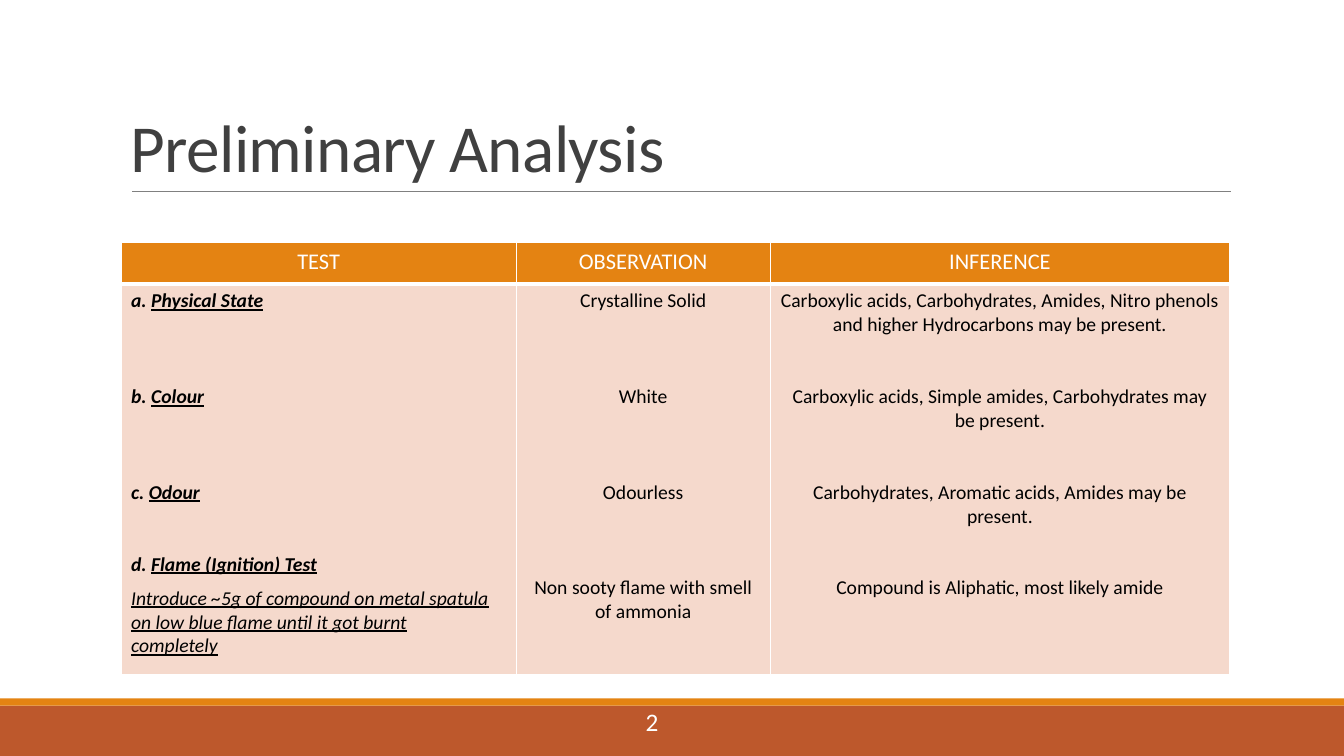
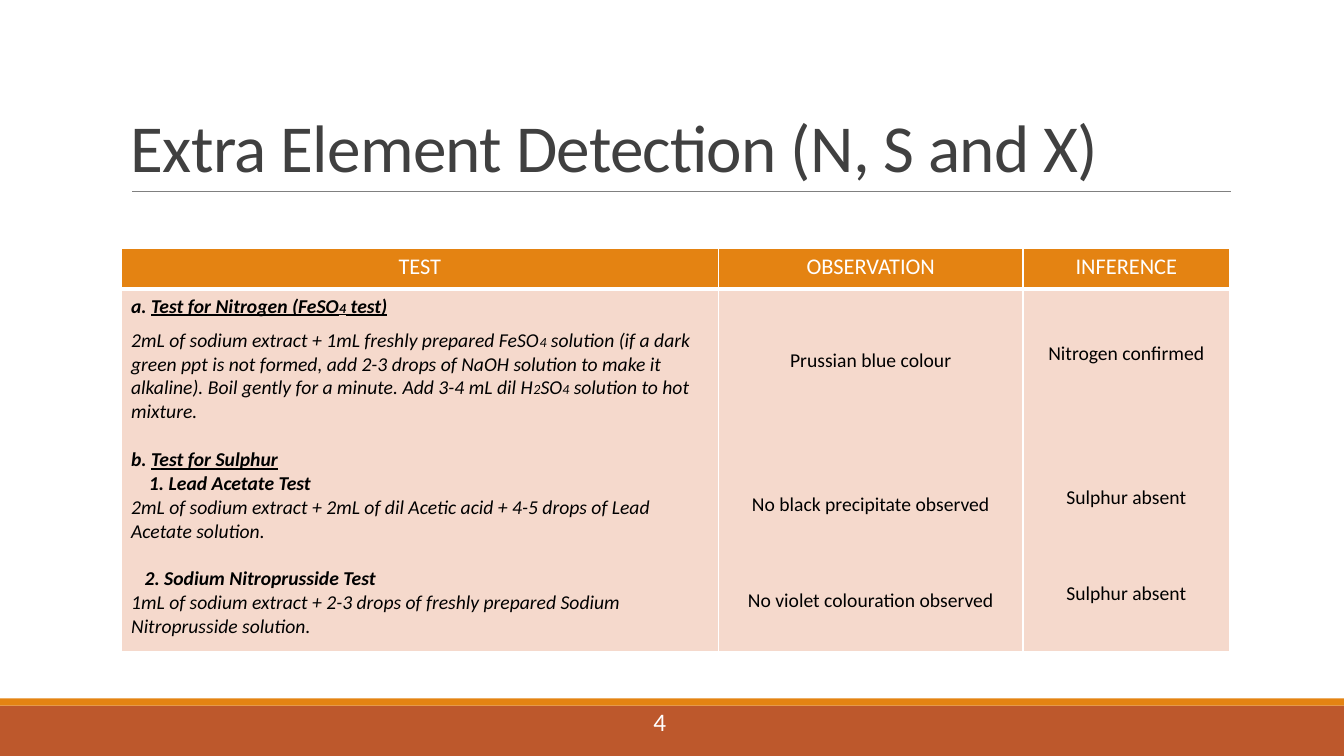
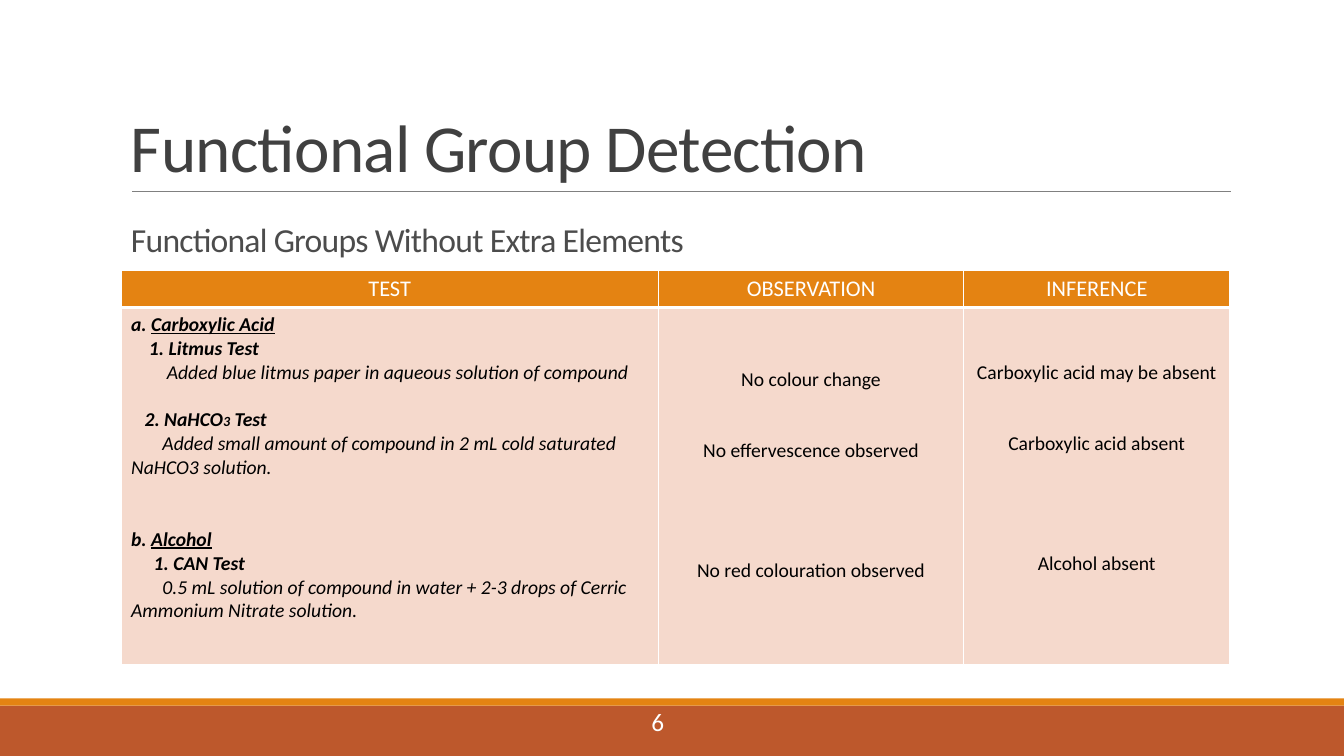
from dataclasses import dataclass

from lxml import etree
from pptx import Presentation
from pptx.dml.color import RGBColor
from pptx.enum.shapes import MSO_CONNECTOR, MSO_SHAPE
from pptx.enum.text import MSO_ANCHOR, PP_ALIGN
from pptx.oxml.ns import qn
from pptx.util import Cm, Pt

RECT = MSO_SHAPE.RECTANGLE
STRAIGHT = MSO_CONNECTOR.STRAIGHT
TOP, BOTTOM = MSO_ANCHOR.TOP, MSO_ANCHOR.BOTTOM
LEFT, CENTER = PP_ALIGN.LEFT, PP_ALIGN.CENTER

WHITE = RGBColor(0xFF, 0xFF, 0xFF)
BLACK = RGBColor(0x00, 0x00, 0x00)
ORANGE = RGBColor(0xE4, 0x83, 0x12)
RUST = RGBColor(0xBD, 0x58, 0x2C)
PEACH = RGBColor(0xF5, 0xD9, 0xCC)
GREY = RGBColor(0x80, 0x80, 0x80)
TITLE_GREY = RGBColor(0x40, 0x40, 0x40)
SUBTITLE_GREY = RGBColor(0x4C, 0x4C, 0x4C)

FONT = "Calibri"
BODY, SUB = 14, 10      # body and subscript sizes in points
LINE = 17.1             # height of one body line in points
SMALL_GAP = 0.43        # short gap, in body lines
HEADERS = ("TEST", "OBSERVATION", "INFERENCE")


@dataclass
class Para:
    """Runs are (text, style) pairs; style letters are b, i and u.
    An underscore makes the next character a small one."""
    runs: list
    gap: float = 0      # body lines left free above
    indent: float = 0   # first-line indent in cm
    tab: float = 0      # tab stop in cm


def heading(label, name, gap=0):
    return Para([(label + " ", "bi"), (name, "biu")], gap)


def subheading(text, gap=0, indent=0.45):
    return Para([(text, "bi")], gap, indent)


def step(text, gap=0, indent=0):
    return Para([(text, "i")], gap, indent)


def results(*pairs):
    return [Para([(text, "")], gap) for gap, text in pairs]


class Deck:
    def __init__(self):
        self.prs = Presentation()
        self.prs.slide_width, self.prs.slide_height = Cm(33.87), Cm(19.05)
        self.slide = None

    def new_slide(self, title, number, number_left):
        self.slide = self.prs.slides.add_slide(self.prs.slide_layouts[6])
        # Footer bands and title rule
        self.band(17.78, 1.27, RUST)
        self.band(17.6, 0.18, ORANGE)
        self.rule(3.33, 31.01, 4.83)
        # Title and page number
        self.text(title, (3.05, 0.79, 27.94, 4.04), 48, TITLE_GREY,
                  anchor=BOTTOM, spacing=0.85, tracking=-50)
        self.text(str(number), (number_left, 17.68, 0.86, 1.02), 18, WHITE,
                  align=CENTER)

    def band(self, top, height, color):
        s = self.slide.shapes.add_shape(RECT, 0, Cm(top), self.prs.slide_width,
                                        Cm(height))
        s.shadow.inherit = False
        s.fill.solid()
        s.fill.fore_color.rgb = color
        s.line.fill.background()

    def rule(self, left, right, y):
        s = self.slide.shapes.add_connector(STRAIGHT, Cm(left), Cm(y),
                                            Cm(right), Cm(y))
        s.line.color.rgb = GREY
        s.line.width = Pt(0.5)
        etree.SubElement(s._element.spPr, qn("a:effectLst"))

    def run(self, p, text, size, color, style=""):
        r = p.add_run()
        r.text = text
        f = r.font
        f.name, f.size, f.color.rgb = FONT, Pt(size), color
        f.bold, f.italic, f.underline = (c in style for c in "biu")
        return r

    def text(self, text, box, size, color, align=LEFT, anchor=TOP,
             spacing=1.0, tracking=0):
        s = self.slide.shapes.add_textbox(*(Cm(v) for v in box))
        tf = s.text_frame
        tf.word_wrap = True
        tf.vertical_anchor = anchor
        p = tf.paragraphs[0]
        p.alignment, p.line_spacing = align, spacing
        r = self.run(p, text, size, color)
        if tracking:
            r.font._element.set("spc", str(tracking))

    def table(self, top, widths, heights, columns):
        table = self.slide.shapes.add_table(
            2, len(widths), Cm(3.05), Cm(top), Cm(sum(widths)),
            Cm(sum(heights))).table
        table.first_row = table.horz_banding = False
        for row, height in zip(table.rows, heights):
            row.height = Cm(height)
        for i, (width, header, paras) in enumerate(zip(widths, HEADERS, columns)):
            table.columns[i].width = Cm(width)
            # Header cell
            cell = table.cell(0, i)
            self.style_cell(cell, ORANGE, lnB=3)
            p = cell.text_frame.paragraphs[0]
            p.alignment = CENTER
            self.run(p, header, 16, WHITE)
            # Body cell
            cell = table.cell(1, i)
            self.style_cell(cell, PEACH, lnT=3)
            self.fill_cell(cell, paras, CENTER if i else LEFT)

    def style_cell(self, cell, color, **edges):
        tc_pr = cell._tc.get_or_add_tcPr()
        for edge in ("lnL", "lnR", "lnT", "lnB"):
            ln = etree.SubElement(tc_pr, qn("a:" + edge),
                                  w=str(Pt(edges.get(edge, 1))))
            fill = etree.SubElement(ln, qn("a:solidFill"))
            etree.SubElement(fill, qn("a:srgbClr"), val=str(WHITE))
        cell.fill.solid()
        cell.fill.fore_color.rgb = color

    def fill_cell(self, cell, paras, align):
        tf = cell.text_frame
        cell.margin_top = Cm(0.13) + Pt(paras[0].gap * LINE)
        for n, para in enumerate(paras):
            p = tf.add_paragraph() if n else tf.paragraphs[0]
            p.alignment = align
            if n and para.gap:
                p.space_before = Pt(para.gap * LINE)
            p_pr = p._p.get_or_add_pPr()
            if para.indent:
                p_pr.set("marL", "0")
                p_pr.set("indent", str(Cm(para.indent)))
            if para.tab:
                tabs = etree.SubElement(p_pr, qn("a:tabLst"))
                etree.SubElement(tabs, qn("a:tab"), pos=str(Cm(para.tab)),
                                 algn="l")
            for text, style in para.runs:
                first, *rest = text.split("_")
                self.run(p, first, BODY, BLACK, style)
                for part in rest:
                    self.run(p, part[0], SUB, BLACK, style)
                    if part[1:]:
                        self.run(p, part[1:], BODY, BLACK, style)


def preliminary(deck):
    deck.new_slide("Preliminary Analysis", 2, 16)
    tests = [
        heading("a.", "Physical State"),
        heading("b.", "Colour", 3),
        heading("c.", "Odour", 3),
        heading("d.", "Flame (Ignition) Test", 2),
        Para([("Introduce ~5g of compound on metal spatula on low blue flame "
               "until it got burnt\tcompletely", "iu")], SMALL_GAP, tab=8.2),
    ]
    observations = results(
        (0, "Crystalline Solid"), (3, "White"), (3, "Odourless"),
        (3, "Non sooty flame with smell of ammonia"))
    inferences = results(
        (0, "Carboxylic acids, Carbohydrates, Amides, Nitro phenols and "
            "higher Hydrocarbons may be present."),
        (2, "Carboxylic acids, Simple amides, Carbohydrates may be present."),
        (2, "Carbohydrates, Aromatic acids, Amides may be present."),
        (2, "Compound is Aliphatic, most likely amide"))
    deck.table(6.12, (9.96, 6.4, 11.58), (1.04, 9.83),
               (tests, observations, inferences))


def extra_elements(deck):
    deck.new_slide("Extra Element Detection (N, S and X)", 4, 16.2)
    tests = [
        heading("a.", "Test for Nitrogen (FeSO_4 test)"),
        step("2mL of sodium extract + 1mL freshly prepared FeSO_4 solution "
             "(if a dark green ppt is not formed, add 2-3 drops of NaOH "
             "solution to make it alkaline). Boil gently for a minute. Add "
             "3-4 mL dil H_2SO_4 solution to hot mixture.", SMALL_GAP),
        heading("b.", "Test for Sulphur", 1),
        subheading("1. Lead Acetate Test"),
        step("2mL of sodium extract + 2mL of dil Acetic acid + 4-5 drops of "
             "Lead Acetate solution."),
        subheading("2. Sodium Nitroprusside Test", 1, 0.34),
        step("1mL of sodium extract + 2-3 drops of freshly prepared Sodium "
             "Nitroprusside solution."),
    ]
    observations = results(
        (2.29, "Prussian blue colour"), (5, "No black precipitate observed"),
        (3, "No violet colouration observed"))
    inferences = results(
        (2, "Nitrogen confirmed"), (5, "Sulphur absent"), (3, "Sulphur absent"))
    deck.table(6.25, (15.06, 7.67, 5.21), (1.04, 9.14),
               (tests, observations, inferences))


def functional_groups(deck):
    deck.new_slide("Functional Group Detection", 6, 16.15)
    tests = [
        heading("a.", "Carboxylic Acid"),
        subheading("1. Litmus Test"),
        step("Added blue litmus paper in aqueous solution of compound",
             indent=0.9),
        subheading("2. NaHCO_3 Test", 1, 0.34),
        step("Added small amount of compound in 2 mL cold saturated NaHCO3 "
             "solution.", indent=0.79),
        heading("b.", "Alcohol", 2),
        subheading("1. CAN Test", indent=0.57),
        step("0.5 mL solution of compound in water + 2-3 drops of Cerric "
             "Ammonium Nitrate solution.", indent=0.79),
    ]
    observations = results(
        (2.29, "No colour change"), (2, "No effervescence observed"),
        (4, "No red colouration observed"))
    inferences = results(
        (2, "Carboxylic acid may be absent"), (2, "Carboxylic acid absent"),
        (4, "Alcohol absent"))
    deck.table(6.81, (13.54, 7.7, 6.7), (0.94, 9),
               (tests, observations, inferences))
    deck.text("Functional Groups Without Extra Elements",
              (3.05, 5.51, 27.94, 1.12), 24, SUBTITLE_GREY,
              anchor=BOTTOM, spacing=0.75, tracking=-50)


def main():
    deck = Deck()
    preliminary(deck)
    extra_elements(deck)
    functional_groups(deck)
    deck.prs.save("out.pptx")


if __name__ == "__main__":
    main()
